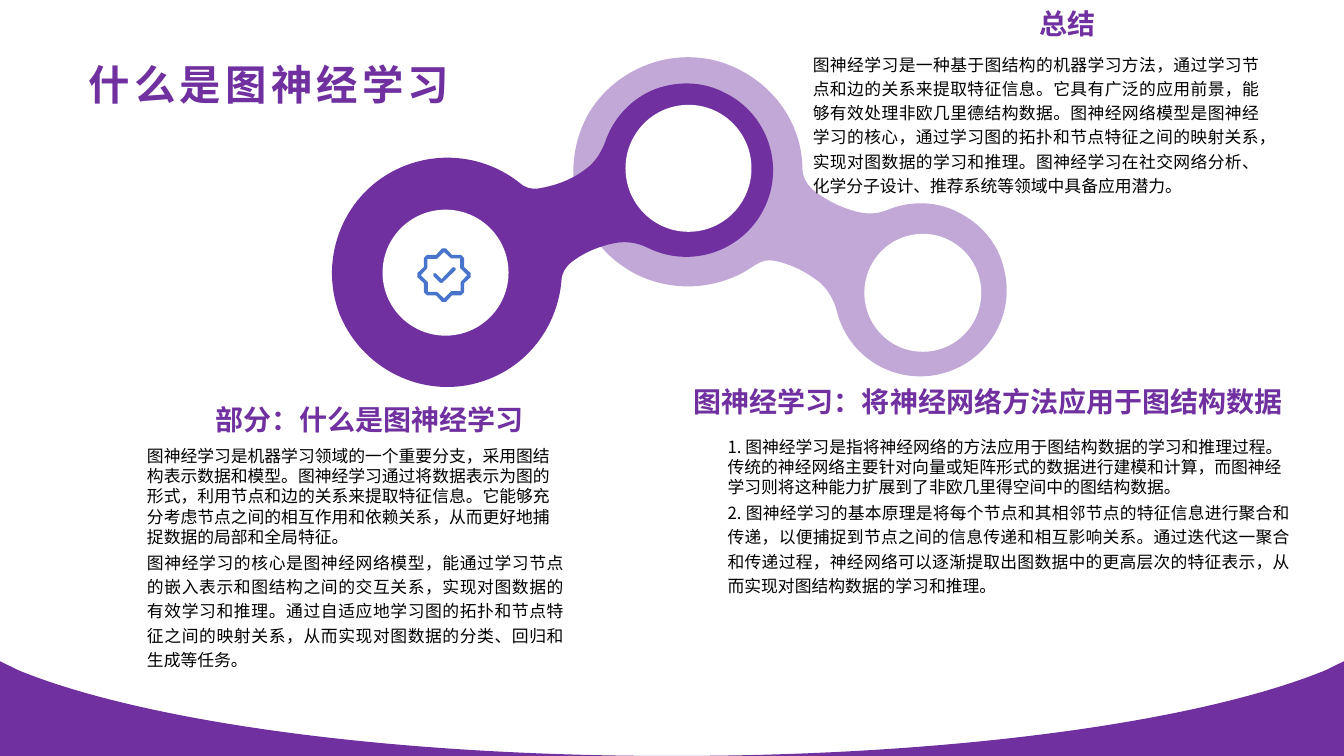
"""Builds a one-slide introduction to graph neural learning."""
from dataclasses import dataclass
from math import cos, radians, sin

from lxml import etree
from pptx import Presentation
from pptx import util as u
from pptx.dml import color as dml
from pptx.enum import shapes, text
from pptx.oxml import ns

CELL = u.Inches(0.1)
COLUMNS, ROWS = 133.33, 75

Point = tuple[float, float]
Curve = tuple[float, float, float, float, float, float]


@dataclass(frozen=True)
class Theme:
    font: str = "Noto Sans CJK SC"
    purple: str = "7030A0"
    blue: str = "4874CB"
    white: str = "FFFFFF"
    black: str = "000000"
    title: float = 29.6
    heading: float = 20
    body: float = 12
    title_spacing: float = 3
    light_opacity: int = 42


@dataclass(frozen=True)
class Box:
    left: float
    top: float
    width: float
    height: float

    def lengths(self) -> list[int]:
        return [round(cells * CELL) for cells in (self.left, self.top, self.width, self.height)]


@dataclass(frozen=True)
class Section:
    heading_box: Box
    heading: str
    body_box: Box
    body: tuple[str, ...]


@dataclass(frozen=True)
class Contour:
    corners: list[Point]
    controls: list[Point]


@dataclass(frozen=True)
class Link:
    start: Point
    curves: list[Curve]
    centre: Point
    angle: float
    opacity: int


THEME = Theme()

LINKS = [
    Link((95.5, 21.3), [
        (93.3, 20, 90.6, 19.8, 88.1, 20.8), (87.2, 21.2, 86.1, 21.3, 85, 21),
        (83.4, 20.6, 81.8, 19.8, 80.5, 18.7), (80, 18.2, 79.6, 17.5, 79.6, 16.8),
        (79.6, 12.6, 77.1, 8.8, 73.3, 6.9), (67.9, 4.1, 61.1, 6.3, 58.2, 11.6),
        (55.3, 17.2, 57.3, 24.1, 62.9, 27.1), (66.7, 29.1, 71.4, 28.8, 74.9, 26.3),
        (75.5, 25.9, 76.2, 25.7, 76.9, 25.9), (78.5, 26.2, 80, 27, 81.3, 28),
        (82.1, 28.7, 82.7, 29.7, 83, 30.8), (84.1, 35.4, 88.7, 38.2, 93.3, 37.1),
        (97.9, 36, 100.8, 31.3, 99.6, 26.7), (99.1, 24.4, 97.6, 22.5, 95.5, 21.3),
    ], (78.5, 22.3), 26.9, THEME.light_opacity),
    Link((65.1, 8.8), [
        (62.7, 9.7, 60.8, 11.7, 60, 14.2), (59.6, 15.2, 59, 16.1, 58.2, 16.7),
        (56.8, 17.8, 55.2, 18.4, 53.4, 18.7), (52.7, 18.8, 52, 18.6, 51.5, 18.1),
        (48.2, 15.5, 43.7, 14.9, 39.8, 16.6), (34.2, 19, 31.5, 25.5, 33.7, 31.2),
        (36.1, 37, 42.7, 39.9, 48.5, 37.6), (52.6, 36, 55.3, 32.2, 55.7, 27.9),
        (55.7, 27.1, 56.1, 26.5, 56.7, 26), (58, 25, 59.5, 24.4, 61.1, 24.1),
        (62.2, 23.9, 63.3, 24.1, 64.3, 24.6), (68.6, 26.7, 73.7, 24.9, 75.8, 20.7),
        (77.9, 16.5, 76.2, 11.3, 71.9, 9.2), (69.8, 8.1, 67.4, 8, 65.1, 8.8),
    ], (55, 22.5), 336.9, 100),
]

HOLES = [Box(37.95, 20.8, 12.5, 12.5), Box(62.05, 10.4, 12.5, 12.6), Box(85.75, 23.2, 11.6, 11.7)]

BADGE_CENTRE = (44.05, 27.3)
BADGE_OUTER = [(-0.2, -2.65), (-0.8, -2), (-1.7, -2), (-2, -1.7), (-2, -0.8), (-2.65, -0.2)]
BADGE_INNER = [(0, -2.3), (-0.7, -1.6), (-1.65, -1.6), (-1.65, -0.7)]
BADGE_TICK = [(0.9, -0.8), (1.15, -0.7), (1.15, -0.5), (-0.1, 0.7), (-0.25, 0.8),
              (-0.45, 0.7), (-1.05, 0.1), (-1.05, -0.15), (-0.85, -0.2), (-0.25, 0.4)]

SECTIONS = [
    Section(Box(18.25, 38.7, 34.7, 5.1), "部分：什么是图神经学习", Box(13.6, 43.74, 43.35, 11.5), (
        "图神经学习是机器学习领域的一个重要分支，采用图结构表示数据和模型。图神经学习通过将数据表示为图的形式，利用节点和边的关系来提取特征信息。它能够充分考虑节点之间的相互作用和依赖关系，从而更好地捕捉数据的局部和全局特征。",
        "图神经学习的核心是图神经网络模型，能通过学习节点的嵌入表示和图结构之间的交互关系，实现对图数据的有效学习和推理。通过自适应地学习图的拓扑和节点特征之间的映射关系，从而实现对图数据的分类、回归和生成等任务。",
    )),
    Section(Box(65.55, 36.95, 62.7, 5.1), "图神经学习：将神经网络方法应用于图结构数据", Box(71.2, 42.8, 57.8, 12.9), (
        "1. 图神经学习是指将神经网络的方法应用于图结构数据的学习和推理过程。传统的神经网络主要针对向量或矩阵形式的数据进行建模和计算，而图神经学习则将这种能力扩展到了非欧几里得空间中的图结构数据。",
        "2. 图神经学习的基本原理是将每个节点和其相邻节点的特征信息进行聚合和传递，以便捕捉到节点之间的信息传递和相互影响关系。通过迭代这一聚合和传递过程，神经网络可以逐渐提取出图数据中的更高层次的特征表示，从而实现对图结构数据的学习和推理。",
    )),
    Section(Box(79.6, -0.55, 30.1, 5.1), "总结", Box(79.65, 4.54, 46.3, 11.7), (
        "图神经学习是一种基于图结构的机器学习方法，通过学习节点和边的关系来提取特征信息。它具有广泛的应用前景，能够有效处理非欧几里德结构数据。图神经网络模型是图神经学习的核心，通过学习图的拓扑和节点特征之间的映射关系，实现对图数据的学习和推理。图神经学习在社交网络分析、化学分子设计、推荐系统等领域中具备应用潜力。",
    )),
]


def turn(points: list[Point], centre: Point, angle: float) -> list[Point]:
    cosine, sine = cos(radians(angle)), sin(radians(angle))
    cx, cy = centre
    return [(cx + (x - cx) * cosine - (y - cy) * sine, cy + (x - cx) * sine + (y - cy) * cosine)
            for x, y in points]


def paint(shape, colour: str) -> None:
    shape.fill.solid()
    shape.fill.fore_color.rgb = dml.RGBColor.from_string(colour)
    shape.line.fill.background()
    shape.shadow.inherit = False


def bend(shape, contours: list[Contour]) -> None:
    outline = shape._element.find(".//" + ns.qn("a:path"))
    segments = iter(list(outline))
    for contour in contours:
        for _ in contour.corners:
            next(segments)
        for _ in range(len(contour.controls) // 3):
            lines = [next(segments) for _ in range(3)]
            cubic = etree.Element(ns.qn("a:cubicBezTo"))
            outline.insert(outline.index(lines[0]), cubic)
            for line in lines:
                cubic.append(line[0])
                outline.remove(line)
        next(segments)


def draw_outline(slide, contours: list[Contour], colour: str):
    scaled = [[(x * CELL, y * CELL) for x, y in contour.corners + contour.controls]
              for contour in contours]
    builder = slide.shapes.build_freeform(*scaled[0][0])
    for index, points in enumerate(scaled):
        if index:
            builder.move_to(*points[0])
        builder.add_line_segments(points[1:], close=True)
    shape = builder.convert_to_shape()
    bend(shape, contours)
    paint(shape, colour)
    return shape


def draw_wave(slide) -> None:
    corners = [(COLUMNS, 65.6), (COLUMNS, ROWS), (COLUMNS / 2, ROWS)]
    controls = [(94.7, ROWS), (119, 71.6), (131.5, 66.5)]
    mirrored = Contour(*([(COLUMNS - x, y) for x, y in side] for side in (corners, controls)))
    draw_outline(slide, [Contour(corners, controls), mirrored], THEME.purple)


def draw_link(slide, link: Link) -> None:
    controls = [curve[index:index + 2] for curve in link.curves for index in (0, 2, 4)]
    points = turn([link.start, *controls], link.centre, -link.angle)
    shape = draw_outline(slide, [Contour(points[:1], points[1:])], THEME.purple)
    pivot = (shape.left + shape.width / 2, shape.top + shape.height / 2)
    centre = (link.centre[0] * CELL, link.centre[1] * CELL)
    x, y = turn([pivot], centre, link.angle)[0]
    shape.left, shape.top = round(x - shape.width / 2), round(y - shape.height / 2)
    shape.rotation = link.angle
    if link.opacity < 100:
        colour = shape.fill._xPr.find(".//" + ns.qn("a:srgbClr"))
        etree.SubElement(colour, ns.qn("a:alpha")).set("val", str(link.opacity * 1000))


def draw_badge(slide) -> None:
    rings = [[point for quarter in range(4) for point in turn(side, (0, 0), -90 * quarter)]
             for side in (BADGE_OUTER, BADGE_INNER)]
    cx, cy = BADGE_CENTRE
    contours = [Contour([(cx + x, cy + y) for x, y in points], []) for points in (*rings, BADGE_TICK)]
    draw_outline(slide, contours, THEME.blue)


def draw_text(slide, box: Box, lines: tuple[str, ...], size: float, colour: str, bold: bool = False,
              alignment=text.PP_ALIGN.LEFT, anchor=text.MSO_ANCHOR.MIDDLE, spacing: float = 0):
    frame = slide.shapes.add_textbox(*box.lengths()).text_frame
    frame.word_wrap = True
    frame.vertical_anchor = anchor
    frame.text = "\n".join(lines)
    for paragraph in frame.paragraphs:
        paragraph.alignment = alignment
        for run in paragraph.runs:
            run.font.size, run.font.bold, run.font.name = u.Pt(size), bold, THEME.font
            run.font.color.rgb = dml.RGBColor.from_string(colour)
            properties = run._r.get_or_add_rPr()
            etree.SubElement(properties, ns.qn("a:ea")).set("typeface", THEME.font)
            if spacing:
                properties.set("spc", str(round(spacing * 100)))
    return frame


def draw_section(slide, section: Section) -> None:
    body = draw_text(slide, section.body_box, section.body, THEME.body, THEME.black,
                     anchor=text.MSO_ANCHOR.TOP)
    last = body.paragraphs[-1]
    last.alignment, last.line_spacing, last.space_after = text.PP_ALIGN.JUSTIFY, 1.2, u.Pt(1.5)
    if len(section.body) > 1:
        last.space_before = u.Pt(1.5)
    heading = draw_text(slide, section.heading_box, (section.heading,), THEME.heading, THEME.purple,
                        bold=True, alignment=text.PP_ALIGN.RIGHT)
    heading.paragraphs[0].line_spacing = 1.2


def main() -> None:
    presentation = Presentation()
    presentation.slide_width, presentation.slide_height = round(COLUMNS * CELL), ROWS * CELL
    slide = presentation.slides.add_slide(presentation.slide_layouts[6])
    draw_wave(slide)
    draw_text(slide, Box(7.8, 5.15, 103.4, 6.4), ("什么是图神经学习",), THEME.title, THEME.purple,
              bold=True, spacing=THEME.title_spacing)
    for link in LINKS:
        draw_link(slide, link)
    for hole in HOLES:
        paint(slide.shapes.add_shape(shapes.MSO_SHAPE.OVAL, *hole.lengths()), THEME.white)
    for section in SECTIONS:
        draw_section(slide, section)
    draw_badge(slide)
    presentation.save("out.pptx")


if __name__ == "__main__":
    main()
